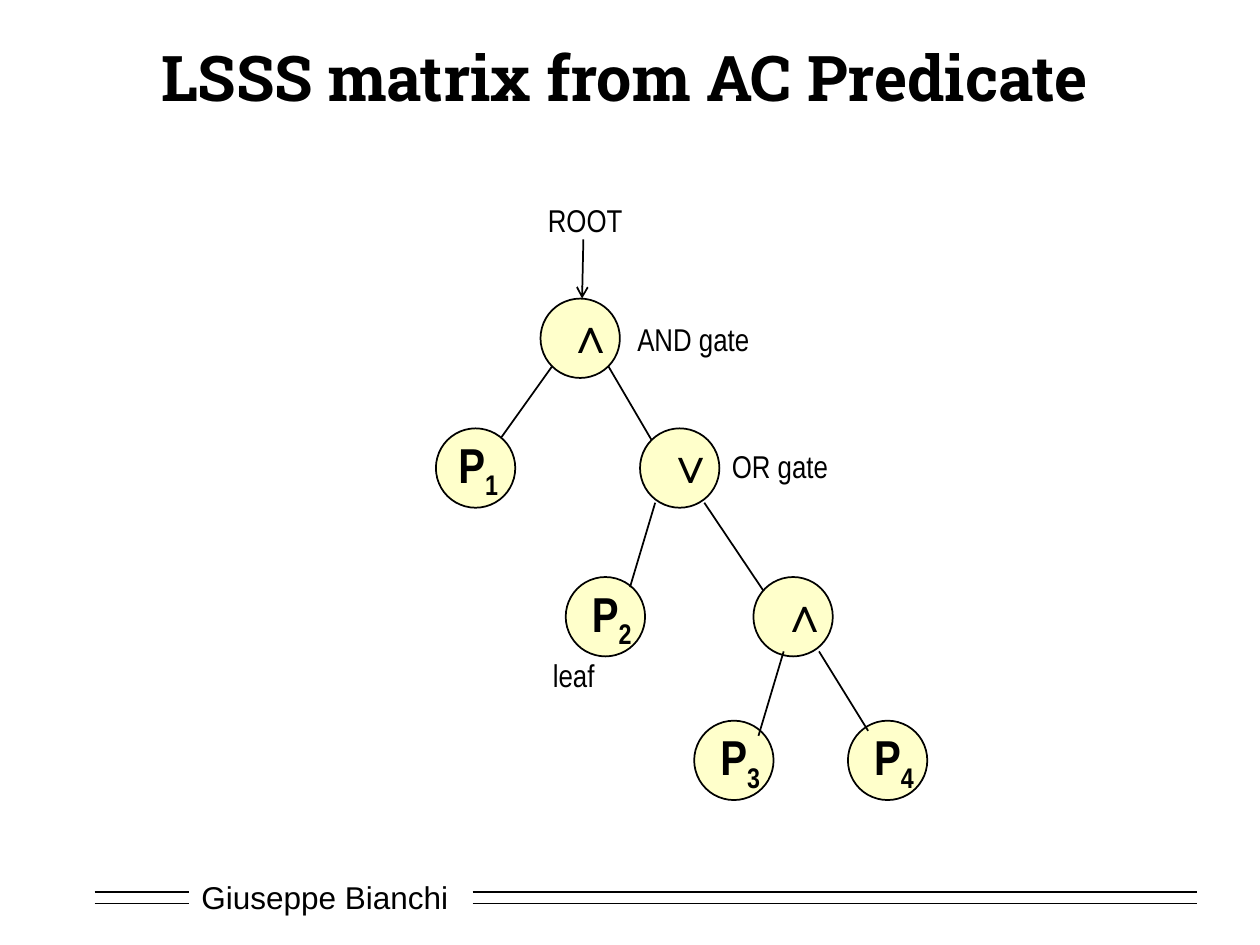
from dataclasses import dataclass

from lxml import etree
from pptx import Presentation
from pptx.dml.color import RGBColor
from pptx.enum.shapes import MSO_CONNECTOR, MSO_SHAPE
from pptx.enum.text import MSO_ANCHOR, MSO_AUTO_SIZE, PP_ALIGN
from pptx.oxml.ns import qn
from pptx.slide import Slide
from pptx.util import Inches, Pt

STRAIGHT = MSO_CONNECTOR.STRAIGHT
OVAL = MSO_SHAPE.OVAL
TOP, MIDDLE = MSO_ANCHOR.TOP, MSO_ANCHOR.MIDDLE
FIXED, GROW = MSO_AUTO_SIZE.NONE, MSO_AUTO_SIZE.SHAPE_TO_FIT_TEXT
LEFT, CENTER = PP_ALIGN.LEFT, PP_ALIGN.CENTER

BLACK = RGBColor(0x00, 0x00, 0x00)
WHITE = RGBColor(0xFF, 0xFF, 0xFF)
YELLOW = RGBColor(0xFF, 0xFF, 0x99)

NODE_SIZE = 0.63
NODE_OPACITY = 50
LABEL_HEIGHT = 0.4
SYMBOL_HEIGHT = 0.57


@dataclass(frozen=True)
class Node:
    left: float
    top: float
    symbol: str
    subscript: str = ""
    indent: float = 0.11


@dataclass(frozen=True)
class Label:
    left: float
    top: float
    width: float
    text: str


@dataclass(frozen=True)
class Line:
    start: tuple[float, float]
    end: tuple[float, float]
    arrow: bool = False


NODES = [
    Node(4.29, 2.37, "∧"),
    Node(3.46, 3.4, "P", "1", indent=0.08),
    Node(5.08, 3.4, "∨"),
    Node(4.49, 4.58, "P", "2"),
    Node(5.98, 4.58, "∧", indent=0.12),
    Node(5.51, 5.72, "P", "3"),
    Node(6.73, 5.72, "P", "4"),
]

LABELS = [
    Label(4.25, 1.55, 0.8, "ROOT"),
    Label(4.96, 2.49, 1.1, "AND gate"),
    Label(5.71, 3.5, 0.98, "OR gate"),
    Label(4.29, 5.16, 0.54, "leaf"),
]

BRANCHES = [
    Line((4.63, 1.9), (4.62, 2.37), arrow=True),
    Line((4.38, 2.91), (3.98, 3.47)),
    Line((4.83, 2.91), (5.17, 3.49)),
    Line((5.2, 3.99), (5, 4.66)),
    Line((5.59, 3.99), (6.06, 4.69)),
    Line((6.22, 5.17), (6.02, 5.84)),
    Line((6.5, 5.17), (6.89, 5.8)),
]

FOOTER_RULES = [
    Line((left, height), (right, height))
    for height in (7.08, 7.17)
    for left, right in ((0.75, 1.5), (3.75, 9.5))
]


def add_text(page: Slide, text: str, left: float, top: float, width: float,
             height: float, *, font: str = "Arial Narrow", size: float = 18,
             bold: bool = False, subscript: str = "", wrap: bool = False,
             anchor: MSO_ANCHOR = TOP, align: PP_ALIGN = LEFT,
             fit: MSO_AUTO_SIZE = GROW, fill: RGBColor | None = None) -> None:
    box = page.shapes.add_textbox(
        Inches(left), Inches(top), Inches(width), Inches(height))
    if fill is not None:
        box.fill.solid()
        box.fill.fore_color.rgb = fill
    frame = box.text_frame
    frame.word_wrap = wrap
    frame.auto_size = fit
    frame.vertical_anchor = anchor
    para = frame.paragraphs[0]
    para.alignment = align
    for content, baseline in ((text, 0), (subscript, -25000)):
        if not content:
            continue
        span = para.add_run()
        span.text = content
        span.font.name = font
        span.font.size = Pt(size)
        span.font.bold = bold
        span.font.color.rgb = BLACK
        if baseline:
            span.font._element.set("baseline", str(baseline))


def add_line(page: Slide, line: Line) -> None:
    connector = page.shapes.add_connector(
        STRAIGHT, *(Inches(value) for value in line.start + line.end))
    connector.line.color.rgb = BLACK
    connector.line.width = Pt(1)
    if line.arrow:
        etree.SubElement(
            connector.line._get_or_add_ln(), qn("a:tailEnd"), type="arrow")
    etree.SubElement(connector._element.spPr, qn("a:effectLst"))


def add_node(page: Slide, node: Node) -> None:
    circle = page.shapes.add_shape(
        OVAL, Inches(node.left), Inches(node.top),
        Inches(NODE_SIZE), Inches(NODE_SIZE))
    circle.shadow.inherit = False
    circle.fill.solid()
    circle.fill.fore_color.rgb = YELLOW
    color = circle._element.spPr.find(qn("a:solidFill")).find(qn("a:srgbClr"))
    etree.SubElement(color, qn("a:alpha"), val=str(NODE_OPACITY * 1000))
    circle.line.color.rgb = BLACK
    circle.line.width = Pt(1)
    width = 0.54 if node.subscript else 0.44
    add_text(page, node.symbol, node.left + node.indent, node.top, width,
             SYMBOL_HEIGHT, size=28, bold=True, subscript=node.subscript)


def main() -> None:
    deck = Presentation()
    deck.slide_width = Inches(10)
    deck.slide_height = Inches(7.5)
    page = deck.slides.add_slide(deck.slide_layouts[6])

    add_text(page, "Giuseppe Bianchi", 1.5, 6.92, 2.17, LABEL_HEIGHT,
             font="Arial", wrap=True, anchor=MIDDLE, fill=WHITE)
    for rule in FOOTER_RULES:
        add_line(page, rule)
    add_text(page, "LSSS matrix from AC Predicate", 0.75, 0.25, 8.42, 0.71,
             font="Roboto Slab", size=36, bold=True, wrap=True,
             anchor=MIDDLE, align=CENTER, fit=FIXED)
    for node in NODES:
        add_node(page, node)
    for branch in BRANCHES:
        add_line(page, branch)
    for label in LABELS:
        add_text(page, label.text, label.left, label.top, label.width,
                 LABEL_HEIGHT)

    deck.save("out.pptx")


if __name__ == "__main__":
    main()
